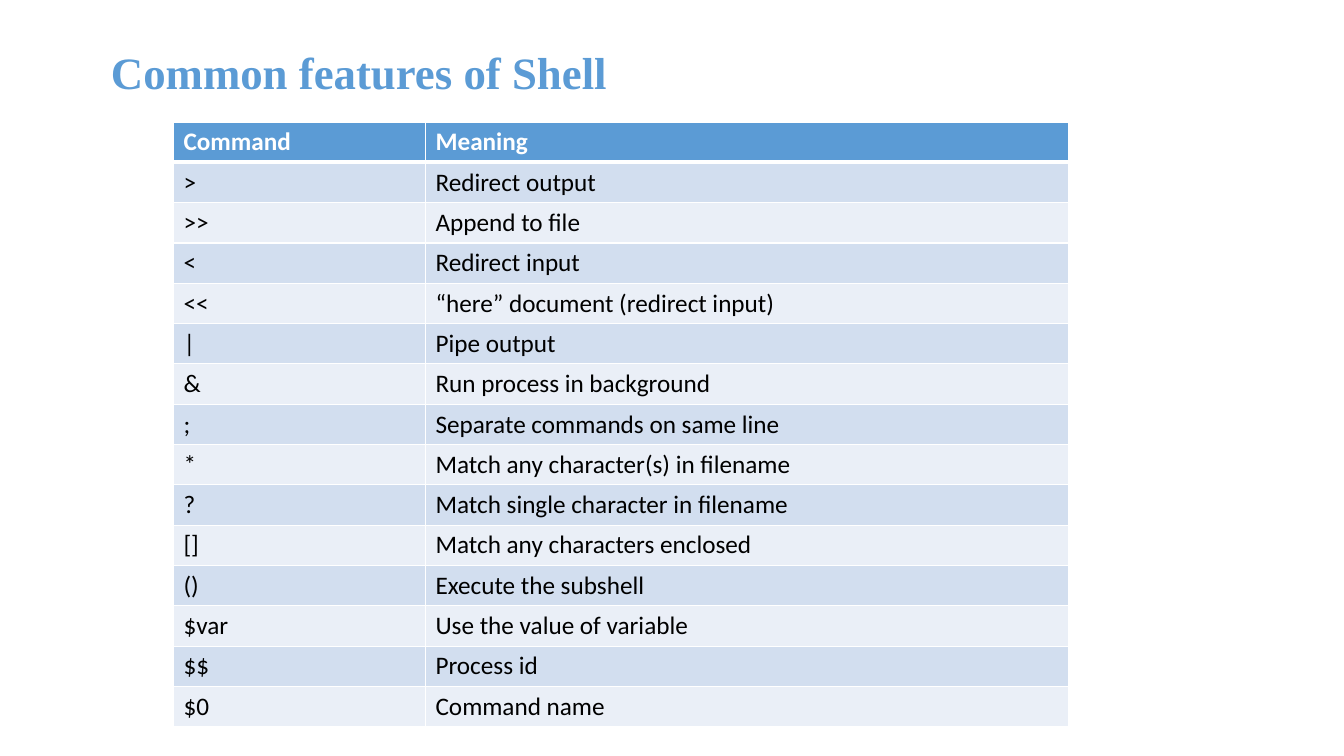
"""Build a slide with a table of common shell features."""
from dataclasses import dataclass

from lxml import etree
from pptx import Presentation
from pptx.dml.color import RGBColor
from pptx.enum.text import MSO_ANCHOR, PP_ALIGN
from pptx.oxml.ns import qn
from pptx.util import Inches, Pt

LEFT = PP_ALIGN.LEFT
MIDDLE = MSO_ANCHOR.MIDDLE
TITLE_ONLY = 5

FEATURES = [
    ("Command", "Meaning"),
    (">", "Redirect output"),
    (">>", "Append to file"),
    ("<", "Redirect input"),
    ("<<", "“here” document (redirect input)"),
    ("|", "Pipe output"),
    ("&", "Run process in background"),
    (";", "Separate commands on same line"),
    ("*", "Match any character(s) in filename"),
    ("?", "Match single character in filename"),
    ("[]", "Match any characters enclosed"),
    ("()", "Execute the subshell"),
    ("$var", "Use the value of variable"),
    ("$$", "Process id"),
    ("$0", "Command name"),
]


@dataclass(frozen=True)
class Theme:
    accent: str = "5B9BD5"
    bands: tuple = ("EAEFF7", "D2DEEF")
    white: str = "FFFFFF"
    ink: str = "000000"
    serif: str = "Times New Roman"
    sans: str = "Calibri"
    title: int = 32
    body: int = 18
    thin: int = 1
    thick: int = 3


class Deck:
    def __init__(self, theme):
        self.theme = theme
        self.file = Presentation()
        self.file.slide_width = Inches(13.33)
        self.file.slide_height = Inches(7.5)
        self.slide = self.file.slides.add_slide(self.file.slide_layouts[TITLE_ONLY])

    def style(self, para, face, size, color, bold):
        para.alignment = LEFT
        font = para.font
        font.name, font.size, font.bold = face, Pt(size), bold
        font.color.rgb = RGBColor.from_string(color)

    def title(self, text, left, top, width, height):
        box = self.slide.shapes.title
        box.left, box.top = Inches(left), Inches(top)
        box.width, box.height = Inches(width), Inches(height)
        frame = box.text_frame
        frame.text = text
        frame.word_wrap = False
        frame.vertical_anchor = MIDDLE
        look = self.theme
        self.style(frame.paragraphs[0], look.serif, look.title, look.accent, True)

    def border(self, cell, head, below):
        props = cell._tc.get_or_add_tcPr()
        look = self.theme
        widths = (look.thin, look.thin,
                  look.thick if below else look.thin,
                  look.thick if head else look.thin)
        for index, (side, width) in enumerate(zip("LRTB", widths)):
            line = etree.Element(qn(f"a:ln{side}"), w=str(Pt(width)))
            fill = etree.SubElement(line, qn("a:solidFill"))
            etree.SubElement(fill, qn("a:srgbClr"), val=look.white)
            props.insert(index, line)

    def table(self, data, left, top, widths, height):
        look = self.theme
        grid = self.slide.shapes.add_table(
            len(data), len(widths), Inches(left), Inches(top),
            Inches(sum(widths)), Inches(height * len(data))).table
        for column, width in zip(grid.columns, widths):
            column.width = Inches(width)
        for row, texts in enumerate(data):
            head = row == 0
            grid.rows[row].height = Inches(height)
            for col, text in enumerate(texts):
                cell = grid.cell(row, col)
                cell.text = text
                cell.vertical_anchor = MIDDLE
                cell.margin_top = cell.margin_bottom = Inches(0.04)
                cell.fill.solid()
                shade = look.accent if head else look.bands[row % 2]
                cell.fill.fore_color.rgb = RGBColor.from_string(shade)
                self.border(cell, head, row == 1)
                self.style(cell.text_frame.paragraphs[0], look.sans, look.body,
                           look.white if head else look.ink, head)

    def save(self):
        self.file.save("out.pptx")


def main():
    deck = Deck(Theme())
    deck.title("Common features of Shell", 1, 0.39, 5.17, 0.64)
    deck.table(FEATURES, 1.72, 1.21, (2.5, 6.38), 0.4)
    deck.save()


if __name__ == "__main__":
    main()
